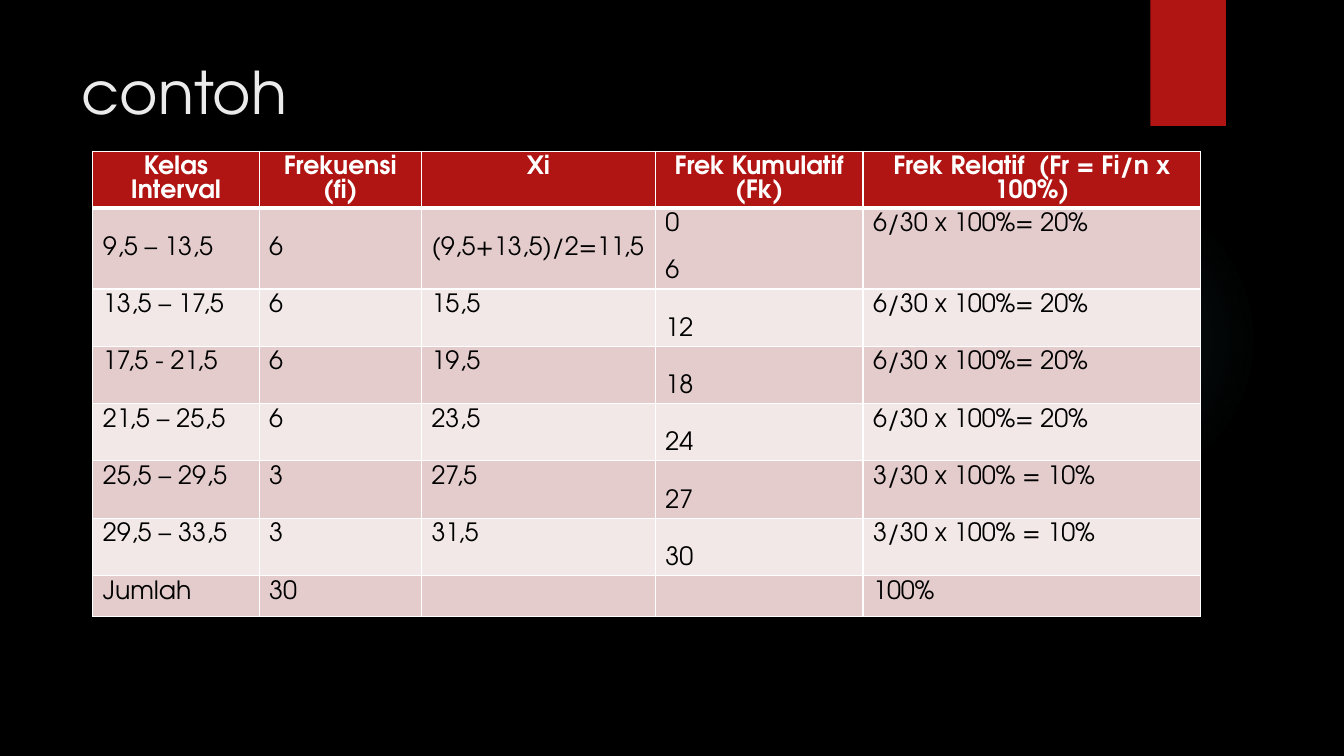
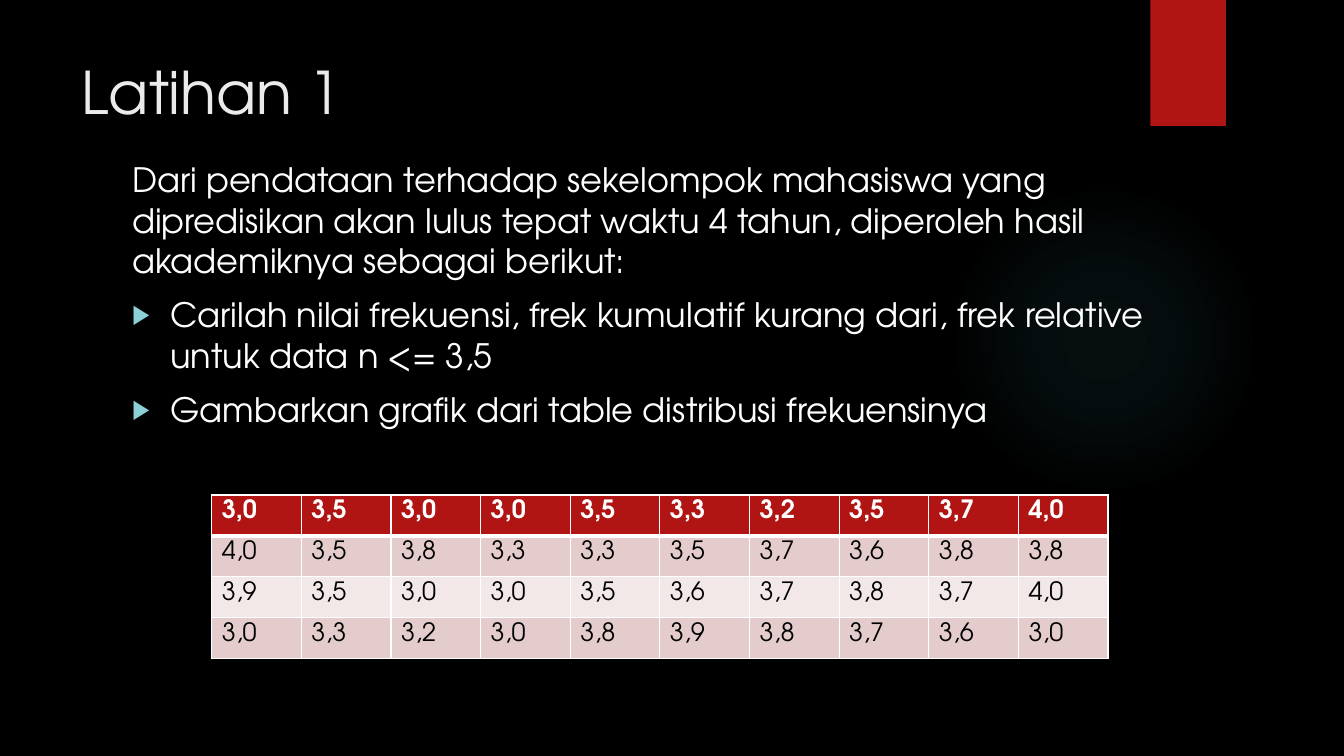
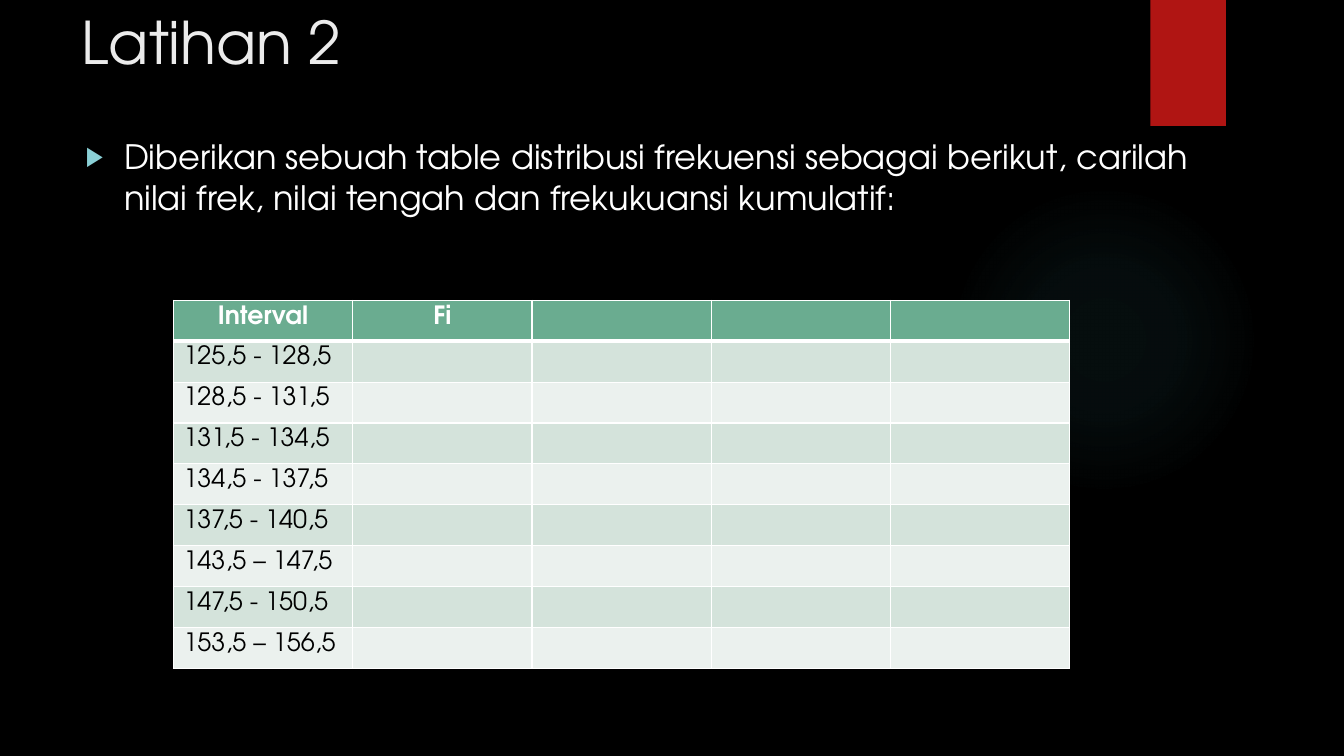
from dataclasses import dataclass

import pptx
import pptx.dml.color
import pptx.enum.shapes
import pptx.enum.text
import pptx.oxml
import pptx.oxml.ns
import pptx.presentation
import pptx.shapes.autoshape
import pptx.slide
import pptx.table
import pptx.text.text
import pptx.util
from pptx.util import Inches, Pt

# Shared style
FONT = "TeX Gyre Adventor"
BLACK, WHITE, TITLE_COLOUR = "000000", "FFFFFF", "EBEBEB"
RED, GLOW, BULLET = "B01513", "50B9C1", "8AD0D6"
DRAWING_NS = pptx.oxml.ns.nsdecls("a")
TABLE_LINE = Pt(16.9)
CELL_MARGIN = Inches(0.05)
ROW_HEIGHT = 3.65 / 9
GRID_WIDTH = 8.89


@dataclass(frozen=True)
class Box:
    left: float
    top: float
    width: float
    height: float

    def lengths(self) -> tuple[pptx.util.Length, ...]:
        return tuple(Inches(n) for n in (self.left, self.top, self.width, self.height))


@dataclass(frozen=True)
class Palette:
    header: str
    odd: str
    even: str


@dataclass(frozen=True)
class TableContent:
    left: float
    top: float
    columns: tuple[float, ...]
    rows: tuple[tuple[str, ...], ...]  # short rows leave the last cells empty
    palette: Palette
    centred_header: bool = True
    lowered: frozenset[tuple[int, int]] = frozenset()  # cells starting one line down


@dataclass(frozen=True)
class BodyContent:
    box: Box
    paragraphs: tuple[str, ...]
    plain: int = 0  # number of leading paragraphs without a bullet


@dataclass(frozen=True)
class SlideContent:
    title: str
    title_top: float
    table: TableContent
    body: BodyContent | None = None


REDS = Palette(RED, "E4CCCC", "F2E8E7")
GREENS = Palette("6AAC90", "D4E3DB", "EBF1EE")


def rgb(colour: str) -> pptx.dml.color.RGBColor:
    return pptx.dml.color.RGBColor.from_string(colour)


def format_runs(paragraph: pptx.text.text._Paragraph, size: float, colour: str,
                bold: bool = False) -> None:
    for run in paragraph.runs:
        run.font.name = FONT
        run.font.size = Pt(size)
        run.font.bold = bold
        run.font.color.rgb = rgb(colour)


def place(shape: pptx.shapes.autoshape.Shape, box: Box) -> None:
    shape.left, shape.top, shape.width, shape.height = box.lengths()
    shape.text_frame.word_wrap = True
    shape.text_frame.auto_size = pptx.enum.text.MSO_AUTO_SIZE.NONE
    shape.text_frame.vertical_anchor = pptx.enum.text.MSO_ANCHOR.TOP


# Band and glow behind the content
def add_backdrop(slide: pptx.slide.Slide) -> None:
    kinds = pptx.enum.shapes.MSO_SHAPE
    glow = slide.shapes.add_shape(kinds.OVAL, *Box(9.41, 1.83, 3.08, 3.08).lengths())
    band = slide.shapes.add_shape(kinds.RECTANGLE, *Box(11.41, 0, 0.75, 1.25).lengths())
    for shape in (glow, band):
        shape.shadow.inherit = False
        shape.line.fill.background()
        slide.shapes.title.element.addprevious(shape.element)
    band.fill.solid()
    band.fill.fore_color.rgb = rgb(RED)

    stops = "".join(
        f'<a:gs pos="{position * 1000}"><a:srgbClr val="{GLOW}">'
        f'<a:alpha val="{alpha * 1000}"/></a:srgbClr></a:gs>'
        for position, alpha in ((0, 7), (36, 6), (69, 0)))
    gradient = pptx.oxml.parse_xml(
        f'<a:gradFill {DRAWING_NS}><a:gsLst>{stops}</a:gsLst><a:path path="circle">'
        '<a:fillToRect l="50000" t="50000" r="50000" b="50000"/></a:path></a:gradFill>')
    geometry = glow.element.spPr.find(pptx.oxml.ns.qn("a:prstGeom"))
    geometry.addnext(gradient)


def add_title(slide: pptx.slide.Slide, text: str, top: float) -> None:
    title = slide.shapes.title
    place(title, Box(0.71, top, 10.29, 1.53))
    title.text_frame.text = text
    paragraph = title.text_frame.paragraphs[0]
    paragraph.alignment = pptx.enum.text.PP_ALIGN.LEFT
    format_runs(paragraph, 42, TITLE_COLOUR)


def set_bullet(paragraph: pptx.text.text._Paragraph, visible: bool) -> None:
    properties = paragraph._p.get_or_add_pPr()
    indent = Inches(0.38) if visible else 0
    properties.set("marL", str(indent))
    properties.set("indent", str(-indent))
    marks = (f'<a:buClr {DRAWING_NS}><a:srgbClr val="{BULLET}"/></a:buClr>',
             f'<a:buSzPct {DRAWING_NS} val="80000"/>',
             f'<a:buChar {DRAWING_NS} char="▶"/>') if visible else (
                 f'<a:buNone {DRAWING_NS}/>',)
    for mark in marks:
        properties.append(pptx.oxml.parse_xml(mark))


def add_body(slide: pptx.slide.Slide, content: BodyContent) -> None:
    body = slide.placeholders[1]
    place(body, content.box)
    body.text_frame.text = "\n".join(content.paragraphs)
    for index, paragraph in enumerate(body.text_frame.paragraphs):
        paragraph.space_before = Pt(10)
        set_bullet(paragraph, index >= content.plain)
        format_runs(paragraph, 24, WHITE)


def set_borders(cell: pptx.table._Cell, top: float, bottom: float) -> None:
    properties = cell._tc.get_or_add_tcPr()
    for side, width in (("L", 1), ("R", 1), ("T", top), ("B", bottom)):
        properties.append(pptx.oxml.parse_xml(
            f'<a:ln{side} {DRAWING_NS} w="{Pt(width)}"><a:solidFill>'
            f'<a:srgbClr val="{WHITE}"/></a:solidFill></a:ln{side}>'))


def add_table(slide: pptx.slide.Slide, content: TableContent) -> None:
    box = Box(content.left, content.top, sum(content.columns),
              ROW_HEIGHT * len(content.rows))
    table = slide.shapes.add_table(
        len(content.rows), len(content.columns), *box.lengths()).table
    for column, width in zip(table.columns, content.columns):
        column.width = Inches(width)
    for row_index, texts in enumerate(content.rows):
        table.rows[row_index].height = Inches(ROW_HEIGHT)
        is_header = row_index == 0
        banded = content.palette.odd if row_index % 2 else content.palette.even
        for column_index in range(len(content.columns)):
            cell = table.cell(row_index, column_index)
            set_borders(cell, 3 if row_index == 1 else 1, 3 if is_header else 1)
            cell.fill.solid()
            cell.fill.fore_color.rgb = rgb(content.palette.header if is_header else banded)
            is_lowered = (row_index, column_index) in content.lowered
            cell.margin_top = CELL_MARGIN + (TABLE_LINE if is_lowered else 0)
            cell.margin_bottom = CELL_MARGIN
            if column_index >= len(texts):
                continue
            cell.text_frame.text = texts[column_index]
            for index, paragraph in enumerate(cell.text_frame.paragraphs):
                if index:
                    paragraph.space_before = TABLE_LINE
                if is_header and content.centred_header:
                    paragraph.alignment = pptx.enum.text.PP_ALIGN.CENTER
                format_runs(paragraph, 18, WHITE if is_header else BLACK, is_header)


def add_slide(presentation: pptx.presentation.Presentation, content: SlideContent) -> None:
    layout = presentation.slide_layouts[1 if content.body else 5]
    slide = presentation.slides.add_slide(layout)
    add_backdrop(slide)
    add_title(slide, content.title, content.title_top)
    if content.body:
        add_body(slide, content.body)
    add_table(slide, content.table)


# Content
FREQUENCIES = TableContent(
    0.92, 1.5, (1.65, 1.61, 2.32, 2.06, 3.35),
    (
        ("Kelas Interval", "Frekuensi (fi)", "Xi", "Frek Kumulatif (Fk)",
         "Frek Relatif  (Fr = Fi/n x 100%)"),
        ("9,5 – 13,5", "6", "(9,5+13,5)/2=11,5", "0\n6", "6/30 x 100%= 20%"),
        ("13,5 – 17,5", "6", "15,5", "12", "6/30 x 100%= 20%"),
        ("17,5 - 21,5", "6", "19,5", "18", "6/30 x 100%= 20%"),
        ("21,5 – 25,5", "6", "23,5", "24", "6/30 x 100%= 20%"),
        ("25,5 – 29,5", "3", "27,5", "27", "3/30 x 100% = 10%"),
        ("29,5 – 33,5", "3", "31,5", "30", "3/30 x 100% = 10%"),
        ("Jumlah", "30", "", "", "100%"),
    ),
    REDS,
    lowered=frozenset([(1, column) for column in range(3)]
                      + [(row, 3) for row in range(2, 7)]),
)

GRADES = TableContent(
    2.1, 4.91, (GRID_WIDTH / 10,) * 10,
    tuple(tuple(line.split()) for line in (
        "3,0 3,5 3,0 3,0 3,5 3,3 3,2 3,5 3,7 4,0",
        "4,0 3,5 3,8 3,3 3,3 3,5 3,7 3,6 3,8 3,8",
        "3,9 3,5 3,0 3,0 3,5 3,6 3,7 3,8 3,7 4,0",
        "3,0 3,3 3,2 3,0 3,8 3,9 3,8 3,7 3,6 3,0",
    )),
    REDS, centred_header=False,
)

INTERVALS = TableContent(
    1.72, 2.98, (GRID_WIDTH / 5,) * 5,
    (("Interval", "Fi"), ("125,5 - 128,5",), ("128,5 - 131,5",), ("131,5 - 134,5",),
     ("134,5 - 137,5",), ("137,5 - 140,5",), ("143,5 – 147,5",), ("147,5 - 150,5",),
     ("153,5 – 156,5",)),
    GREENS,
)

SLIDES = (
    SlideContent("contoh", 0.5, FREQUENCIES),
    SlideContent("Latihan 1", 0.5, GRADES, BodyContent(
        Box(1.21, 1.53, 11.18, 5.31),
        ("Dari pendataan terhadap sekelompok mahasiswa yang dipredisikan akan lulus "
         "tepat waktu 4 tahun, diperoleh hasil akademiknya sebagai berikut:",
         "Carilah nilai frekuensi, frek kumulatif kurang dari, frek relative untuk "
         "data n <= 3,5",
         "Gambarkan grafik dari table distribusi frekuensinya"),
        plain=1)),
    SlideContent("Latihan 2", 0.01, INTERVALS, BodyContent(
        Box(0.75, 1.3, 11.73, 1.67),
        ("Diberikan sebuah table distribusi frekuensi sebagai berikut, carilah nilai "
         "frek, nilai tengah dan frekukuansi kumulatif:",))),
)


def main() -> None:
    presentation = pptx.Presentation()
    presentation.slide_width = Inches(13.33)
    presentation.slide_height = Inches(7.5)
    background = presentation.slide_master.background.fill
    background.solid()
    background.fore_color.rgb = rgb(BLACK)
    for content in SLIDES:
        add_slide(presentation, content)
    presentation.save("out.pptx")


main()
